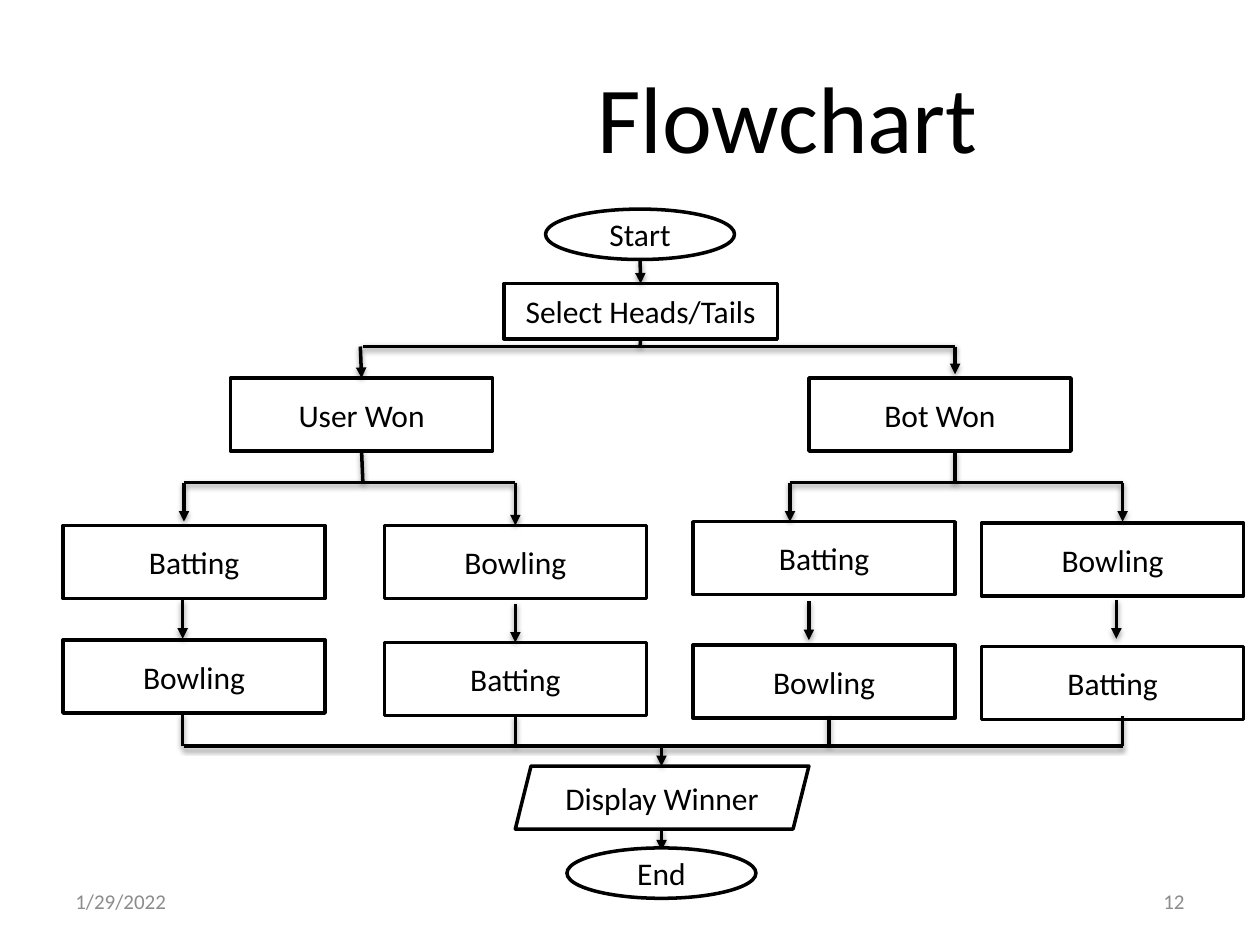
import pptx
import pptx.util
import pptx.dml.color
import pptx.enum.shapes
import pptx.enum.text
import pptx.oxml.ns
import lxml.etree

Inches = pptx.util.Inches
Pt = pptx.util.Pt
SHAPE = pptx.enum.shapes.MSO_SHAPE
ALIGN = pptx.enum.text.PP_ALIGN

BLACK = pptx.dml.color.RGBColor(0x00, 0x00, 0x00)
WHITE = pptx.dml.color.RGBColor(0xFF, 0xFF, 0xFF)
GREY = pptx.dml.color.RGBColor(0x8C, 0x8C, 0x8C)

SLIDE_W, SLIDE_H = 10, 7.5
MARGIN = 0.05 * SLIDE_W
BOX_W, BOX_H = 2.08, 0.58
OVAL_W, OVAL_H = 1.5, 0.4
FOOTER_W, FOOTER_H, FOOTER_Y = 2.33, 0.4, 6.95
TOSS_X, END_X = 5.08, 5.25
WON_Y, TOSS_BUS, CHOICE_BUS, RESULT_BUS = 3, 2.75, 3.83, 5.92
JOIN_GAP = 0.02

WINNERS = [("User Won", 1.83), ("Bot Won", 6.42)]
INNINGS = [
    dict(left=0.5, tops=(4.17, 5.08), names=("Batting", "Bowling"),
         choice=(1.46, 4.14), swap=(1.45, 4.76, 5.07), result=(1.45, 5.67)),
    dict(left=3.05, tops=(4.17, 5.1), names=("Bowling", "Batting"),
         choice=(4.09, 4.17), swap=(4.09, 4.79, 5.1), result=(4.09, 5.68)),
    dict(left=5.5, tops=(4.14, 5.12), names=("Batting", "Bowling"),
         choice=(6.27, 4.14), swap=(6.42, 4.77, 5.08), result=(6.58, 5.68)),
    dict(left=7.79, tops=(4.15, 5.13), names=("Bowling", "Batting"),
         choice=(8.91, 4.14), swap=(8.86, 4.76, 5.07), result=(8.91, 5.68)),
]

PLAIN_LINES = [
    (TOSS_X, 2.69, TOSS_X, TOSS_BUS),
    (2.88, TOSS_BUS, 7.58, TOSS_BUS),
    (1.46, CHOICE_BUS, 4.09, CHOICE_BUS),
    (2.88, WON_Y + BOX_H, 2.88, CHOICE_BUS),
    (7.58, WON_Y + BOX_H, 7.58, CHOICE_BUS),
    (6.27, CHOICE_BUS, 8.91, CHOICE_BUS),
    (1.46, RESULT_BUS, 8.91, RESULT_BUS),
]
ARROWS = [
    (TOSS_X, 2.06, TOSS_X, 2.25),
    (2.86, TOSS_BUS, 2.86, WON_Y),
    (7.58, TOSS_BUS, 7.58, 2.97),
    (END_X, RESULT_BUS, END_X, 6.08),
    (END_X, 6.58, END_X, 6.75),
]
for inning in INNINGS:
    x, y = inning["choice"]
    ARROWS.append((x, CHOICE_BUS, x, y))
    x, start, end = inning["swap"]
    ARROWS.append((x, start, x, end))
    x, y = inning["result"]
    PLAIN_LINES.append((x, y, x, RESULT_BUS))

prs = pptx.Presentation()
prs.slide_width, prs.slide_height = Inches(SLIDE_W), Inches(SLIDE_H)
slide = prs.slides.add_slide(prs.slide_layouts[6])
joints = []


def write(sp, text, size=18, color=BLACK, align=ALIGN.CENTER):
    tf = sp.text_frame
    tf.word_wrap = True
    tf.vertical_anchor = pptx.enum.text.MSO_ANCHOR.MIDDLE
    p = tf.paragraphs[0]
    p.alignment = align
    r = p.add_run()
    r.text = text
    r.font.name = "Calibri"
    r.font.size = Pt(size)
    r.font.color.rgb = color


def add_box(text, left, top, width=BOX_W, height=BOX_H, kind=SHAPE.RECTANGLE,
            line=BLACK, size=18):
    sp = slide.shapes.add_shape(
        kind, Inches(left), Inches(top), Inches(width), Inches(height))
    sp.shadow.inherit = False
    sp.fill.solid()
    sp.fill.fore_color.rgb = WHITE
    sp.line.color.rgb = line
    sp.line.width = Pt(2)
    write(sp, text, size=size)
    if kind == SHAPE.RECTANGLE:
        middle = left + width / 2
        joints.extend([(middle, top, sp, 0), (middle, top + height, sp, 2)])


def join(connect, x, y):
    for joint_x, joint_y, sp, side in joints:
        if abs(x - joint_x) <= JOIN_GAP and abs(y - joint_y) <= JOIN_GAP:
            connect(sp, side)


def add_line(x1, y1, x2, y2, arrow=False):
    line = slide.shapes.add_connector(
        pptx.enum.shapes.MSO_CONNECTOR.STRAIGHT,
        Inches(x1), Inches(y1), Inches(x2), Inches(y2))
    line.line.color.rgb = BLACK
    line.line.width = Pt(2)
    join(line.begin_connect, x1, y1)
    join(line.end_connect, x2, y2)
    if arrow:
        ln = line.line._get_or_add_ln()
        lxml.etree.SubElement(ln, pptx.oxml.ns.qn("a:tailEnd"), type="triangle")


def add_footer(text, left, align):
    sp = slide.shapes.add_textbox(
        Inches(left), Inches(FOOTER_Y), Inches(FOOTER_W), Inches(FOOTER_H))
    write(sp, text, size=12, color=GREY, align=align)


add_footer("1/29/2022", MARGIN, ALIGN.LEFT)
add_footer("12", SLIDE_W - MARGIN - FOOTER_W, ALIGN.RIGHT)
add_box("Flowchart", 3, 0.33, 6.5, 1.18, line=WHITE, size=54)
add_box("Start", TOSS_X - OVAL_W / 2, 1.66, OVAL_W, OVAL_H, kind=SHAPE.OVAL)
add_box("Select Heads/Tails", 4, 2.25, 2.17, 0.44)
for name, left in WINNERS:
    add_box(name, left, WON_Y)
for inning in INNINGS:
    for name, top in zip(inning["names"], inning["tops"]):
        add_box(name, inning["left"], top)
add_box("Display Winner", 4.09, 6.08, 2.33, 0.5, kind=SHAPE.PARALLELOGRAM)

for ends in PLAIN_LINES:
    add_line(*ends)
for ends in ARROWS:
    add_line(*ends, arrow=True)
add_box("End", END_X - OVAL_W / 2, 6.73, OVAL_W, OVAL_H, kind=SHAPE.OVAL)

prs.save("out.pptx")
